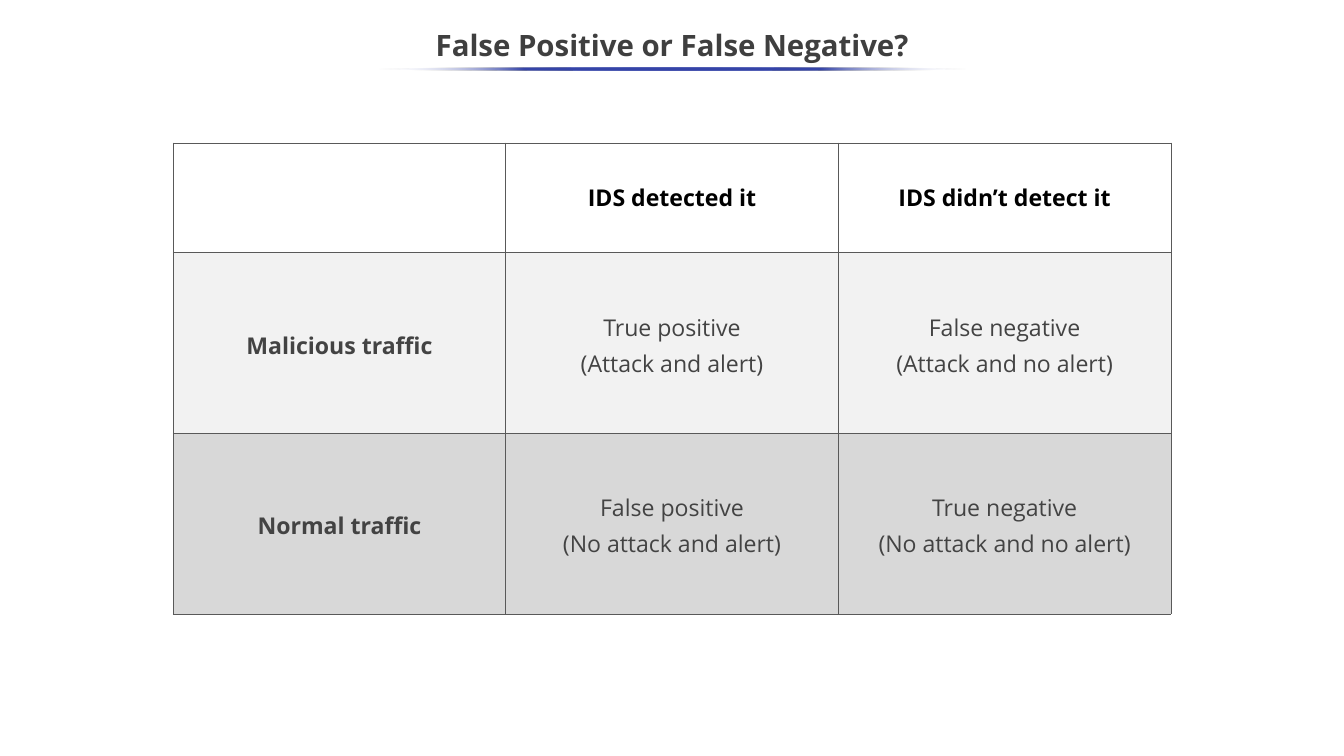
from dataclasses import dataclass

import pptx
import pptx.dml.color
import pptx.enum.shapes
import pptx.enum.text
import pptx.oxml
import pptx.oxml.ns
import pptx.slide
import pptx.table
import pptx.util

Inches = pptx.util.Inches
Pt = pptx.util.Pt

FONT = "Open Sans"
COLORS = {
    "title": "3F3F3F",
    "header": "000000",
    "body": "434343",
    "border": "595959",
    "malicious": "F2F2F2",
    "normal": "D8D8D8",
    "accent": "3645A9",
    "fade": "FFFFFF",
}


@dataclass
class MatrixRow:
    height: float
    cells: tuple[str, str, str]
    text_color: str
    fill: str | None = None
    spacing: float = 1.0
    all_bold: bool = False


MATRIX = [
    MatrixRow(1.45, ("", "IDS detected it", "IDS didn’t detect it"), "header", all_bold=True),
    MatrixRow(2.39, ("Malicious traffic", "True positive\n(Attack and alert)",
                     "False negative\n(Attack and no alert)"), "body", "malicious", 1.15),
    MatrixRow(2.39, ("Normal traffic", "False positive\n(No attack and alert)",
                     "True negative\n(No attack and no alert)"), "body", "normal", 1.15),
]
COLUMN_WIDTH = 4.4


def rgb(name: str) -> pptx.dml.color.RGBColor:
    return pptx.dml.color.RGBColor.from_string(COLORS[name])


def format_text(frame, size: float, color: str, bold: bool, spacing: float) -> None:
    for paragraph in frame.paragraphs:
        paragraph.alignment = pptx.enum.text.PP_ALIGN.CENTER
        paragraph.line_spacing = spacing
        paragraph.font.name = FONT
        paragraph.font.size = Pt(size)
        paragraph.font.bold = bold
        paragraph.font.color.rgb = rgb(color)


def add_borders(cell: pptx.table._Cell) -> None:
    properties = cell._tc.get_or_add_tcPr()
    for position, side in enumerate(("lnL", "lnR", "lnT", "lnB")):
        border = pptx.oxml.parse_xml(
            f'<a:{side} {pptx.oxml.ns.nsdecls("a")} w="{Pt(0.75)}"><a:solidFill>'
            f'<a:srgbClr val="{COLORS["border"]}"/></a:solidFill></a:{side}>')
        properties.insert(position, border)


def add_title(slide: pptx.slide.Slide) -> None:
    title = slide.shapes.title
    title.left, title.top = Inches(-0.01), Inches(0.25)
    title.width, title.height = Inches(17.8), Inches(0.75)
    title.text_frame.text = "False Positive or False Negative?"
    title.text_frame.vertical_anchor = pptx.enum.text.MSO_ANCHOR.MIDDLE
    format_text(title.text_frame, 28, "title", True, 0.9)


def add_matrix(slide: pptx.slide.Slide) -> None:
    columns = len(MATRIX[0].cells)
    table = slide.shapes.add_table(
        len(MATRIX), columns, Inches(2.29), Inches(1.89),
        Inches(COLUMN_WIDTH * columns), Inches(sum(row.height for row in MATRIX))).table
    table.first_row = table.horz_banding = False
    for column in table.columns:
        column.width = Inches(COLUMN_WIDTH)
    for r, row in enumerate(MATRIX):
        table.rows[r].height = Inches(row.height)
        for c, text in enumerate(row.cells):
            cell = table.cell(r, c)
            cell.margin_left = cell.margin_right = Inches(0.13)
            cell.margin_top = cell.margin_bottom = Inches(0.07)
            cell.vertical_anchor = pptx.enum.text.MSO_ANCHOR.MIDDLE
            if row.fill:
                cell.fill.solid()
                cell.fill.fore_color.rgb = rgb(row.fill)
            else:
                cell.fill.background()
            add_borders(cell)
            if text:
                cell.text = text
                format_text(cell.text_frame, 22, row.text_color,
                            row.all_bold or c == 0, row.spacing)


def add_title_rule(slide: pptx.slide.Slide) -> None:
    rule = slide.shapes.add_shape(
        pptx.enum.shapes.MSO_SHAPE.OVAL, Inches(4.99), Inches(0.89), Inches(7.81), Inches(0.04))
    rule.shadow.inherit = False
    rule.line.fill.background()
    # Gradient that fades to transparent at both ends
    stops = ""
    for percent in range(0, 101, 25):
        at_end = percent in (0, 100)
        color = COLORS["fade" if at_end else "accent"]
        alpha = '<a:alpha val="0"/>' if at_end else ""
        stops += f'<a:gs pos="{percent * 1000}"><a:srgbClr val="{color}">{alpha}</a:srgbClr></a:gs>'
    gradient = pptx.oxml.parse_xml(
        f'<a:gradFill {pptx.oxml.ns.nsdecls("a")}><a:gsLst>{stops}</a:gsLst>'
        '<a:lin ang="10800000" scaled="0"/></a:gradFill>')
    geometry = rule._element.spPr.find(pptx.oxml.ns.qn("a:prstGeom"))
    geometry.addnext(gradient)


def main() -> None:
    presentation = pptx.Presentation()
    presentation.slide_width = Inches(17.78)
    presentation.slide_height = Inches(10)
    slide = presentation.slides.add_slide(presentation.slide_layouts[5])
    add_title(slide)
    add_matrix(slide)
    add_title_rule(slide)
    presentation.save("out.pptx")


if __name__ == "__main__":
    main()
